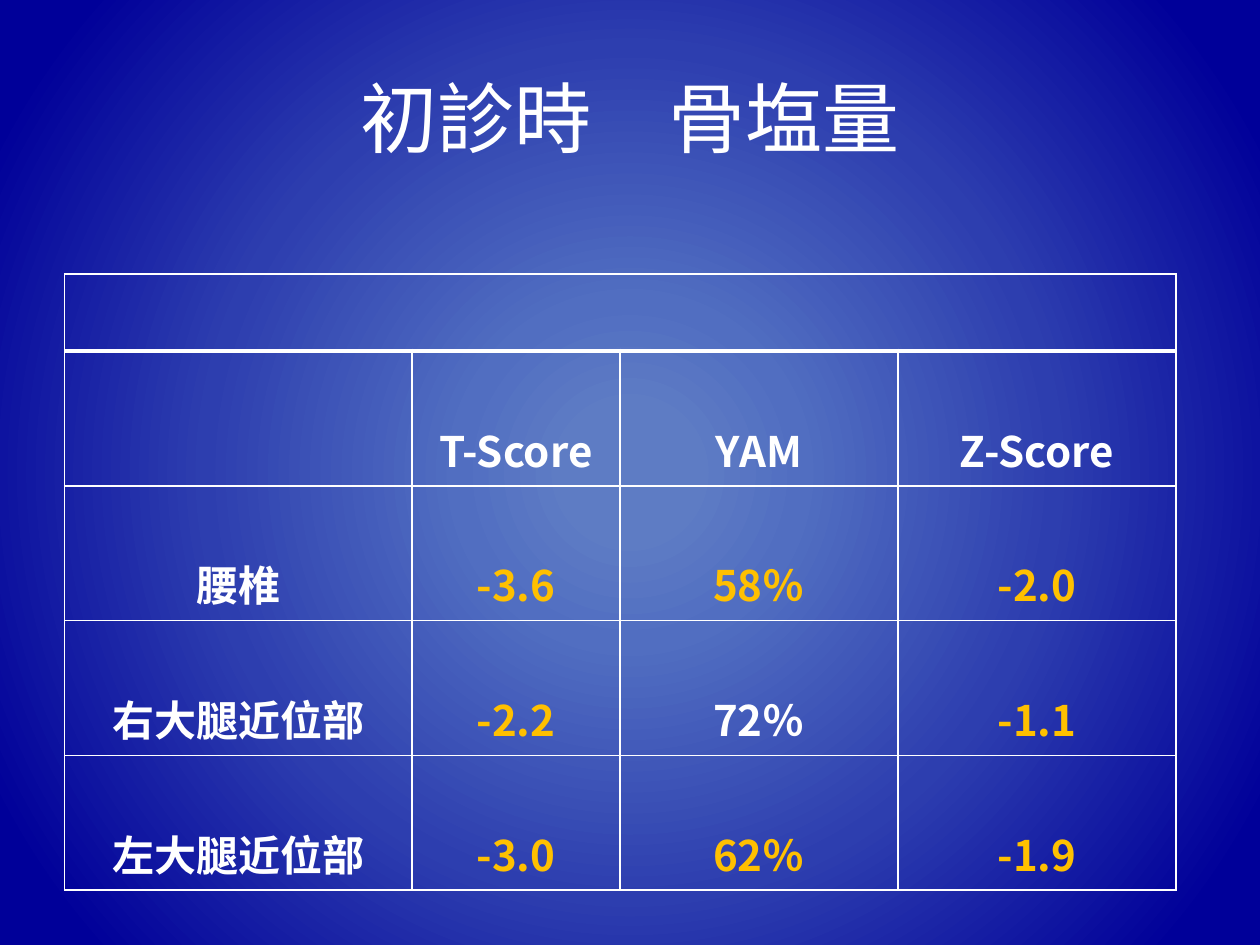
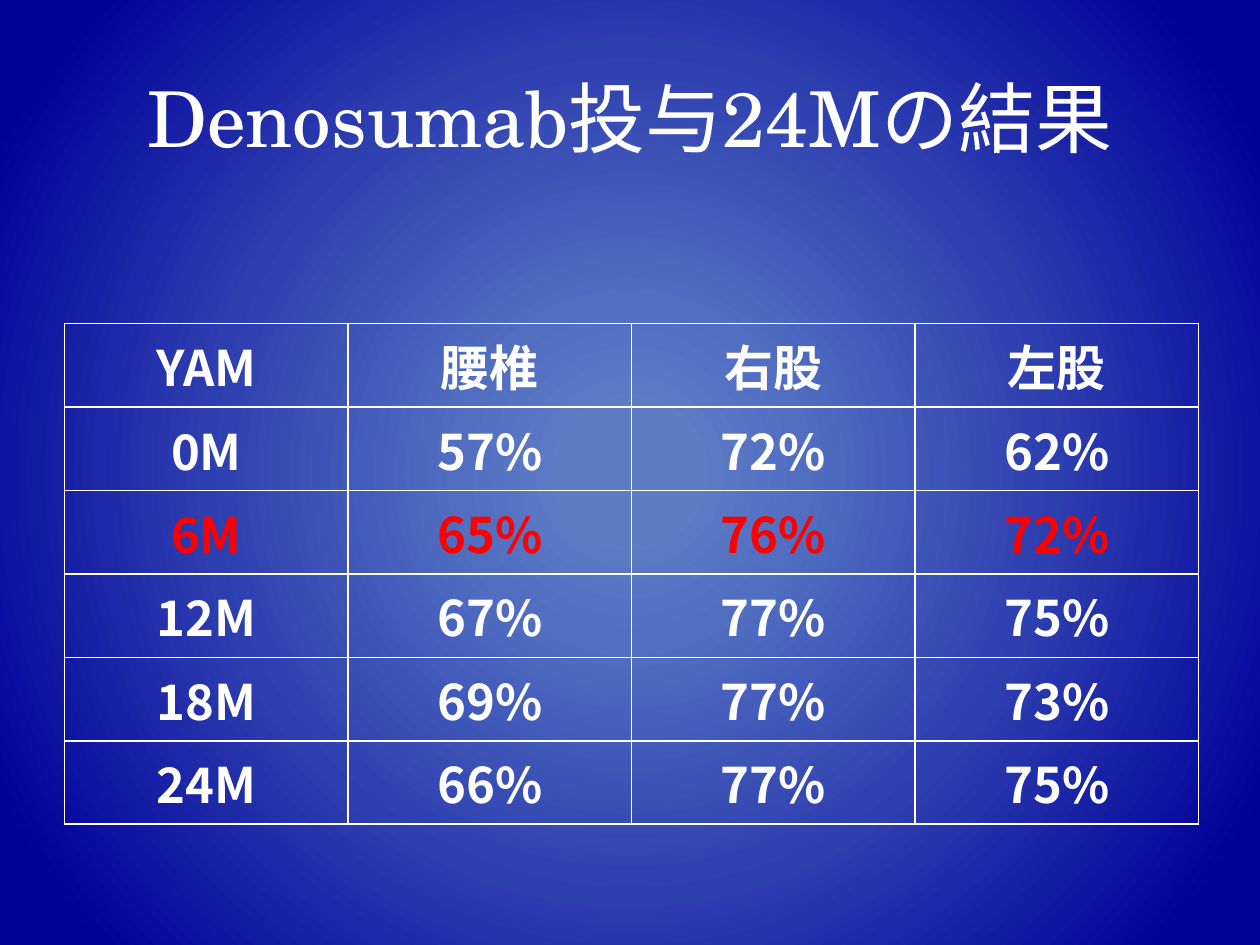
from dataclasses import dataclass
from lxml.etree import SubElement
from pptx import Presentation
from pptx.dml.color import RGBColor
from pptx.enum.text import MSO_ANCHOR, PP_ALIGN
from pptx.oxml.ns import qn
from pptx.util import Pt


@dataclass(frozen=True)
class Theme:
    white: str = "FFFFFF"
    gold: str = "FFC000"
    red: str = "FF0000"
    glow: tuple = ((8, "5E7CC4"), (22, "516EC1"), (54, "2D3EAF"), (91, "000099"))
    serif: str = "TeX Gyre Schola"
    sans: str = "Noto Sans CJK JP"
    title: int = 44
    score: int = 24
    trend: int = 28
    thin: float = 0.96
    thick: float = 3


class Deck:
    def __init__(self, theme):
        self.theme = theme
        self.prs = Presentation()
        self.prs.slide_width, self.prs.slide_height = Pt(720), Pt(540)
        self.slide = None
        self.glow()

    def glow(self):
        """Give the master a round gradient that all slides share."""
        master = self.prs.slide_master
        master.background.fill.gradient()
        grad = master.element.find(".//" + qn("p:bg")).find(".//" + qn("a:gradFill"))
        for child in list(grad):
            grad.remove(child)
        stops = SubElement(grad, qn("a:gsLst"))
        for pos, color in self.theme.glow:
            stop = SubElement(stops, qn("a:gs"), pos=str(pos * 1000))
            SubElement(stop, qn("a:srgbClr"), val=color)
        shade = SubElement(grad, qn("a:path"), {"path": "circle"})
        SubElement(shade, qn("a:fillToRect"), dict.fromkeys("ltrb", "50000"))

    def text(self, frame, words, face, size, color, bold=False, space=None):
        frame.text = words
        para = frame.paragraphs[0]
        para.alignment = PP_ALIGN.CENTER
        if space:
            para.line_spacing = space
        for run in para.runs:
            font = run.font
            font.name, font.size, font.bold = face, Pt(size), bold
            font.color.rgb = RGBColor.from_string(color)
            SubElement(run._r.get_or_add_rPr(), qn("a:ea"), typeface=self.theme.sans)

    def page(self, words):
        self.slide = self.prs.slides.add_slide(self.prs.slide_layouts[5])
        title = self.slide.shapes.title
        title.left, title.top, title.width, title.height = Pt(36), Pt(21.6), Pt(648), Pt(90)
        title.text_frame.vertical_anchor = MSO_ANCHOR.MIDDLE
        self.text(title.text_frame, words, self.theme.serif, self.theme.title, self.theme.white)

    def border(self, cell, **widths):
        props = cell._tc.get_or_add_tcPr()
        for side in "LRTB":
            width = widths.get(side, self.theme.thin)
            line = SubElement(props, qn(f"a:ln{side}"), w=str(Pt(width)))
            fill = SubElement(line, qn("a:solidFill"))
            SubElement(fill, qn("a:srgbClr"), val=self.theme.white)

    def table(self, top, cols, heights, data, size, tint, space=None, banner=False):
        """Draw a grid; tint(row, col) picks the text colour, banner joins row 0."""
        frame = self.slide.shapes.add_table(
            len(data), len(cols), Pt(36.9), Pt(top), Pt(sum(cols)), Pt(sum(heights)))
        grid = frame.table
        grid.first_row = grid.horz_banding = False
        for col, width in zip(grid.columns, cols):
            col.width = Pt(width)
        for row, height in zip(grid.rows, heights):
            row.height = Pt(height)
        heavy = {0: {"B": self.theme.thick}, 1: {"T": self.theme.thick}} if banner else {}
        for r, line in enumerate(data):
            for c, words in enumerate(line):
                cell = grid.cell(r, c)
                self.border(cell, **heavy.get(r, {}))
                cell.fill.background()
                cell.vertical_anchor = MSO_ANCHOR.MIDDLE
                if words:
                    self.text(cell.text_frame, words, self.theme.sans, size,
                              tint(r, c), True, space)
        if banner:
            grid.cell(0, 0).merge(grid.cell(0, len(cols) - 1))


def main():
    theme = Theme()
    deck = Deck(theme)

    # Bone density at the first visit
    deck.page("初診時　骨塩量")
    scores = [
        [""] * 4,
        ["", "T-Score", "YAM", "Z-Score"],
        ["腰椎", "-3.6", "58％", "-2.0"],
        ["右大腿近位部", "-2.2", "72％", "-1.1"],
        ["左大腿近位部", "-3.0", "62％", "-1.9"],
    ]

    def low(row, col):
        value = row > 1 and col > 0
        return theme.gold if value and scores[row][col] != "72％" else theme.white

    deck.table(156.6, [198.4, 119, 158.8, 158.8], [44, 77, 77, 77, 77], scores,
               theme.score, low, space=2.0, banner=True)

    # Results over 24 months
    deck.page("Denosumab投与24Mの結果")
    trend = [
        ["YAM", "腰椎", "右股", "左股"],
        ["0M", "57%", "72%", "62%"],
        ["6M", "65%", "76%", "72%"],
        ["12M", "67%", "77%", "75%"],
        ["18M", "69%", "77%", "73%"],
        ["24M", "66%", "77%", "75%"],
    ]
    deck.table(184.9, [162] * 4, [47.7] * len(trend), trend, theme.trend,
               lambda row, col: theme.red if row == 2 else theme.white)

    deck.prs.save("out.pptx")


if __name__ == "__main__":
    main()
